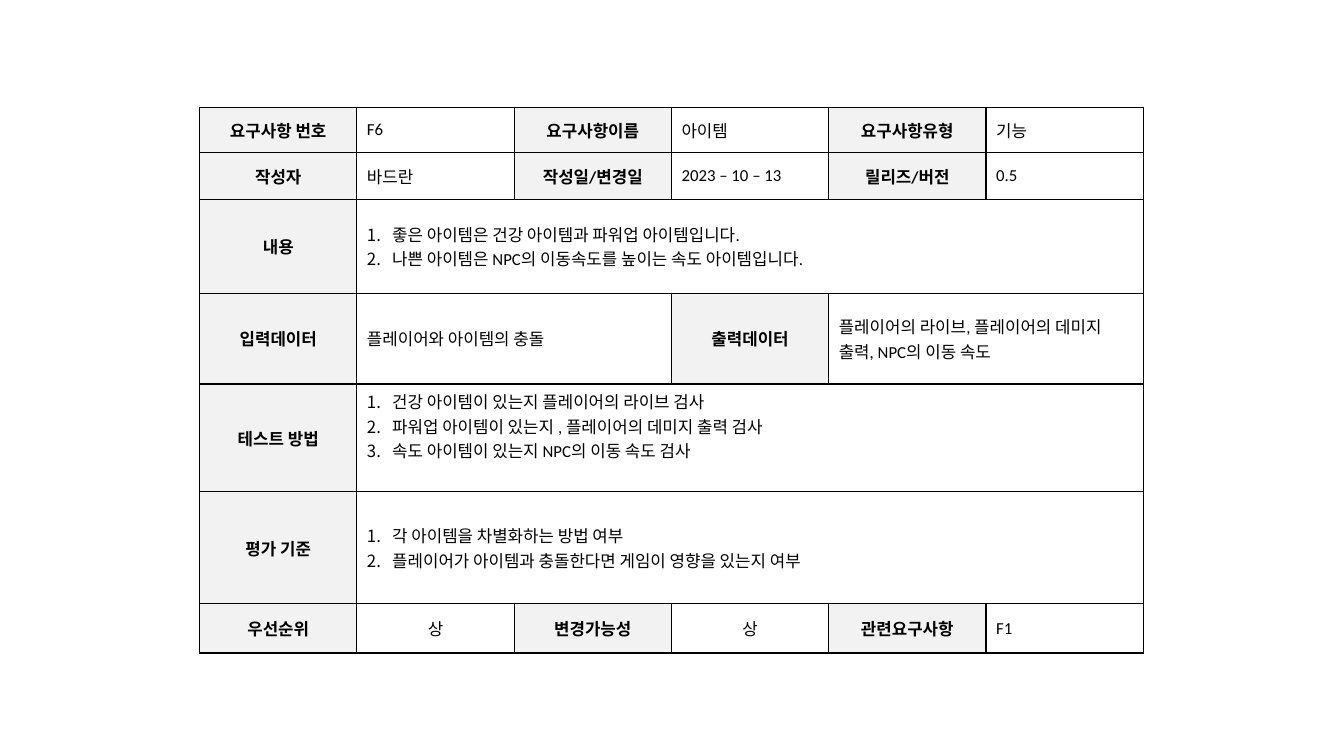
"""Build a slide with the requirement specification table for game items."""
import dataclasses
import typing

import lxml.etree
import pptx
import pptx.dml.color
import pptx.enum.text
import pptx.oxml.ns
import pptx.table
import pptx.text.text
import pptx.util

Inches = pptx.util.Inches
ALIGN = pptx.enum.text.PP_ALIGN
BLACK = pptx.dml.color.RGBColor(0x00, 0x00, 0x00)
LABEL_GRAY = pptx.dml.color.RGBColor(0xF2, 0xF2, 0xF2)
TEXT_FORMAT: dict[str, typing.Any] = {"name": "Calibri", "size": pptx.util.Pt(12)}
LIST_FORMAT = {"marL": str(Inches(0.25)), "indent": str(-Inches(0.25))}
COLUMN_COUNT = 6
COLUMN_WIDTH = 1.56
ROW_HEIGHTS = (0.44, 0.47, 0.93, 0.9, 1.07, 1.11, 0.49)


@dataclasses.dataclass(frozen=True)
class Field:
    """A label cell followed by its value, which may be a numbered list."""

    label: str
    lines: tuple[str, ...]
    span: int = 1
    centered: bool = False
    numbered: bool = False
    bottom: float = 0.05


REQUIREMENT: tuple[tuple[Field, ...], ...] = (
    (
        Field("요구사항 번호", ("F6",)),
        Field("요구사항이름", ("아이템",)),
        Field("요구사항유형", ("기능",)),
    ),
    (
        Field("작성자", ("바드란",)),
        Field("작성일/변경일", ("2023 – 10 – 13",)),
        Field("릴리즈/버전", ("0.5",)),
    ),
    (
        Field("내용", (
            "좋은 아이템은 건강 아이템과 파워업 아이템입니다.",
            "나쁜 아이템은 NPC의 이동속도를 높이는 속도 아이템입니다.",
        ), span=5, numbered=True),
    ),
    (
        Field("입력데이터", ("플레이어와 아이템의 충돌",), span=2),
        Field("출력데이터", ("플레이어의 라이브, 플레이어의 데미지 출력, NPC의 이동 속도",), span=2),
    ),
    (
        Field("테스트 방법", (
            "건강 아이템이 있는지 플레이어의 라이브 검사",
            "파워업 아이템이 있는지 , 플레이어의 데미지 출력 검사",
            "속도 아이템이 있는지 NPC의 이동 속도 검사",
        ), span=5, numbered=True, bottom=0.29),
    ),
    (
        Field("평가 기준", (
            "각 아이템을 차별화하는 방법 여부",
            "플레이어가 아이템과 충돌한다면 게임이 영향을 있는지 여부",
        ), span=5, numbered=True),
    ),
    (
        Field("우선순위", ("상",), centered=True),
        Field("변경가능성", ("상",), centered=True),
        Field("관련요구사항", ("F1",)),
    ),
)


def add_borders(cell: pptx.table._Cell) -> None:
    """Draw a thin black line on every side of a cell."""
    qn = pptx.oxml.ns.qn
    tcPr = cell._tc.get_or_add_tcPr()
    for side in ("lnL", "lnR", "lnT", "lnB"):
        ln = lxml.etree.SubElement(tcPr, qn(f"a:{side}"), w=str(pptx.util.Pt(1)))
        fill = lxml.etree.SubElement(ln, qn("a:solidFill"))
        lxml.etree.SubElement(fill, qn("a:srgbClr"), val=str(BLACK))


def number_paragraph(p: pptx.text.text._Paragraph) -> None:
    """Give a paragraph a hanging indent and an automatic number."""
    pPr = p._p.get_or_add_pPr()
    for name, value in LIST_FORMAT.items():
        pPr.set(name, value)
    lxml.etree.SubElement(pPr, pptx.oxml.ns.qn("a:buAutoNum"), type="arabicPeriod")


def write_cell(cell: pptx.table._Cell, lines: tuple[str, ...], bold: bool = False,
               centered: bool = False, numbered: bool = False) -> None:
    """Fill a cell with one formatted paragraph per line."""
    cell.vertical_anchor = pptx.enum.text.MSO_ANCHOR.MIDDLE
    tf = cell.text_frame
    for i, line in enumerate(lines):
        p = tf.add_paragraph() if i else tf.paragraphs[0]
        p.alignment = ALIGN.CENTER if centered else ALIGN.LEFT
        if numbered:
            number_paragraph(p)
        r = p.add_run()
        r.text = line
        r.font.color.rgb = BLACK
        for name, value in {**TEXT_FORMAT, "bold": bold}.items():
            setattr(r.font, name, value)


def add_field(table: pptx.table.Table, row: int, col: int, field: Field) -> int:
    """Write a field from the given column and return the next free column."""
    label = table.cell(row, col)
    label.fill.solid()
    label.fill.fore_color.rgb = LABEL_GRAY
    write_cell(label, (field.label,), bold=True, centered=True)
    value = table.cell(row, col + 1)
    if field.span > 1:
        value.merge(table.cell(row, col + field.span))
    value.margin_bottom = Inches(field.bottom)
    write_cell(value, field.lines, centered=field.centered, numbered=field.numbered)
    return col + 1 + field.span


def main() -> None:
    """Create the presentation and save it."""
    prs = pptx.Presentation()
    prs.slide_width, prs.slide_height = Inches(13.33), Inches(7.5)
    s = prs.slides.add_slide(prs.slide_layouts[6])
    table = s.shapes.add_table(
        len(ROW_HEIGHTS), COLUMN_COUNT, Inches(1.98), Inches(1.07),
        Inches(COLUMN_COUNT * COLUMN_WIDTH), Inches(sum(ROW_HEIGHTS)),
    ).table
    table.first_row = table.horz_banding = False
    for column in table.columns:
        column.width = Inches(COLUMN_WIDTH)
    for row, height in zip(table.rows, ROW_HEIGHTS):
        row.height = Inches(height)
    for cell in table.iter_cells():
        add_borders(cell)
        cell.fill.background()
    for i, fields in enumerate(REQUIREMENT):
        col = 0
        for field in fields:
            col = add_field(table, i, col, field)
    prs.save("out.pptx")


if __name__ == "__main__":
    main()
